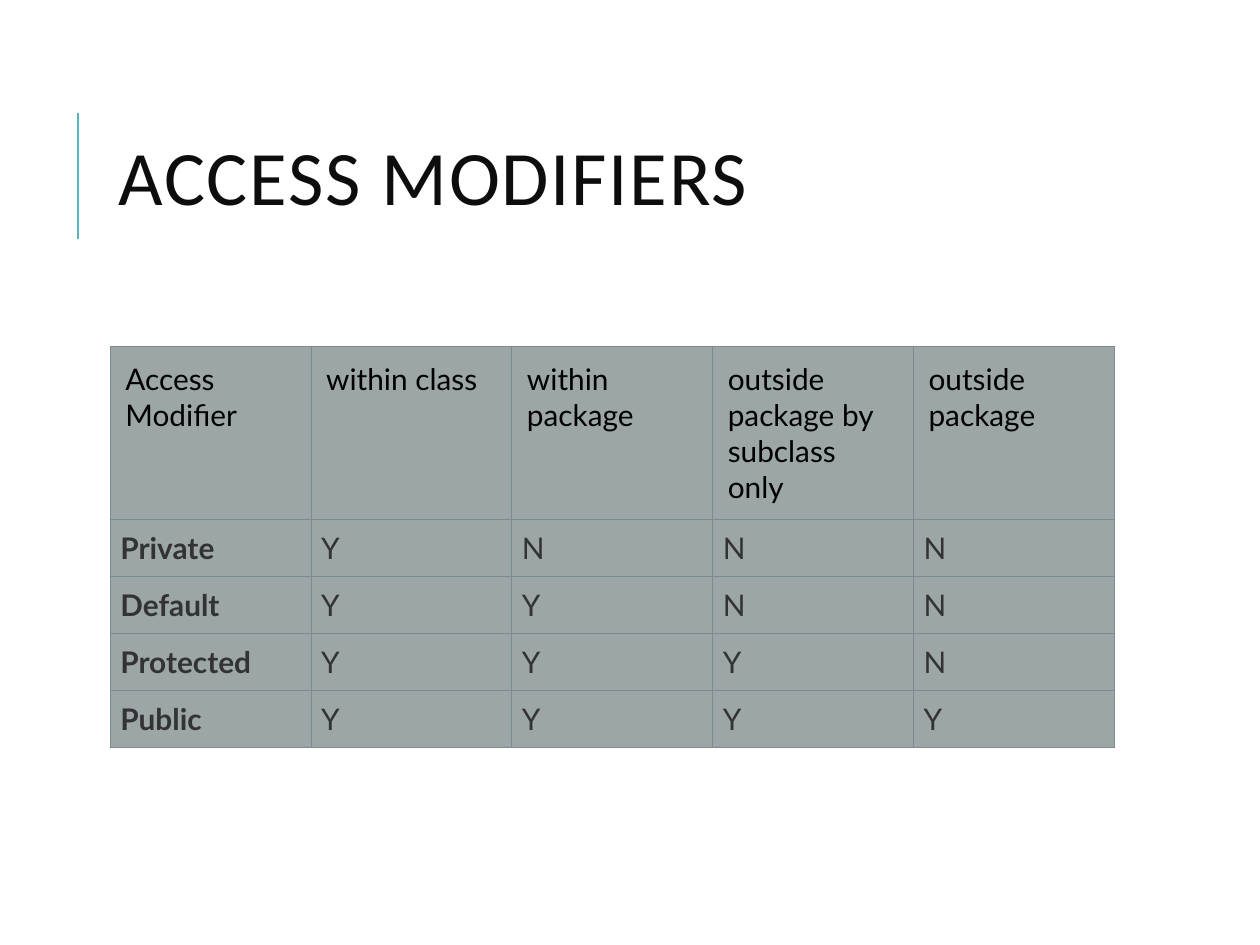
import dataclasses

import pptx
import pptx.dml.color
import pptx.enum.shapes
import pptx.enum.text
import pptx.oxml
import pptx.oxml.ns
import pptx.util

Pt = pptx.util.Pt
Align = pptx.enum.text.PP_ALIGN
Anchor = pptx.enum.text.MSO_ANCHOR

COLORS = {
    "title": "0D0D0D",
    "accent": "58B6C0",
    "fill": "9CA6A7",
    "border": "7A8C8E",
    "head": "000000",
    "body": "333333",
}
HEADS = ["Access Modifier", "within class", "within package",
         "outside package by subclass only", "outside package"]
RIGHTS = {"Private": "YNNN", "Default": "YYNN", "Protected": "YYYN", "Public": "YYYY"}
LEFT, TOP, WIDTH = 63, 198, 573.8
HEAD_H, ROW_H = 80, 32.6


@dataclasses.dataclass
class Look:
    """Format of one kind of table cell."""
    color: str
    inset: float
    align: Align
    bold: bool = False


HEAD = Look("head", 8.64, Align.LEFT)
LABEL = Look("body", 5.76, Align.JUSTIFY, True)
MARK = Look("body", 5.76, Align.JUSTIFY)


def rgb(name: str) -> pptx.dml.color.RGBColor:
    """Return a named colour."""
    return pptx.dml.color.RGBColor.from_string(COLORS[name])


def style(para, font: str, size: float, color: str, bold: bool = False) -> None:
    """Format every run of a paragraph."""
    for run in para.runs:
        run.font.name = font
        run.font.size = Pt(size)
        run.font.bold = bold
        run.font.color.rgb = rgb(color)


def add_title(slide, text: str) -> None:
    """Place and format the title."""
    title = slide.shapes.title
    title.left, title.top, title.width, title.height = Pt(60.5), Pt(46), Pt(573.8), Pt(118)
    frame = title.text_frame
    frame.text = text
    frame.word_wrap = True
    frame.vertical_anchor = Anchor.MIDDLE
    para = frame.paragraphs[0]
    para.alignment = Align.LEFT
    para.line_spacing = 0.8
    style(para, "Calibri", 44, "title")
    para.runs[0].font._element.set("spc", "100")


def add_rule(slide) -> None:
    """Draw the upright line beside the title."""
    rule = slide.shapes.add_connector(
        pptx.enum.shapes.MSO_CONNECTOR.STRAIGHT, Pt(44.6), Pt(136.8), Pt(44.6), Pt(64.8))
    rule.line.color.rgb = rgb("accent")
    rule.line.width = Pt(1.5)
    rule._element.spPr.append(pptx.oxml.parse_xml(
        f'<a:effectLst {pptx.oxml.ns.nsdecls("a")}/>'))


def add_border(cell) -> None:
    """Line all four sides of a cell."""
    props = cell._tc.get_or_add_tcPr()
    for spot, side in enumerate("LRTB"):
        props.insert(spot, pptx.oxml.parse_xml(
            f'<a:ln{side} {pptx.oxml.ns.nsdecls("a")} w="{Pt(0.75)}"><a:solidFill>'
            f'<a:srgbClr val="{COLORS["border"]}"/></a:solidFill></a:ln{side}>'))


def fill_cell(cell, text: str, look: Look) -> None:
    """Write and format one cell."""
    cell.text_frame.text = text
    cell.margin_left = cell.margin_right = Pt(look.inset)
    cell.margin_top = cell.margin_bottom = Pt(look.inset)
    cell.vertical_anchor = Anchor.TOP
    para = cell.text_frame.paragraphs[0]
    para.alignment = look.align
    style(para, "Lato", 17, look.color, look.bold)
    cell.fill.solid()
    cell.fill.fore_color.rgb = rgb("fill")
    add_border(cell)


def add_grid(slide) -> None:
    """Build the table of access rights."""
    rows = [HEADS] + [[name, *marks] for name, marks in RIGHTS.items()]
    height = HEAD_H + ROW_H * len(RIGHTS)
    grid = slide.shapes.add_table(
        len(rows), len(HEADS), Pt(LEFT), Pt(TOP), Pt(WIDTH), Pt(height)).table
    grid.first_row = grid.horz_banding = False
    for col in grid.columns:
        col.width = Pt(WIDTH / len(HEADS))
    for r, texts in enumerate(rows):
        grid.rows[r].height = Pt(ROW_H if r else HEAD_H)
        for c, text in enumerate(texts):
            look = HEAD if r == 0 else LABEL if c == 0 else MARK
            fill_cell(grid.cell(r, c), text, look)


def main() -> None:
    """Build and save the slide."""
    deck = pptx.Presentation()
    deck.slide_width, deck.slide_height = Pt(720), Pt(540)
    slide = deck.slides.add_slide(deck.slide_layouts.get_by_name("Title Only"))
    add_rule(slide)
    add_title(slide, "ACCESS MODIFIERS")
    add_grid(slide)
    deck.save("out.pptx")


main()
